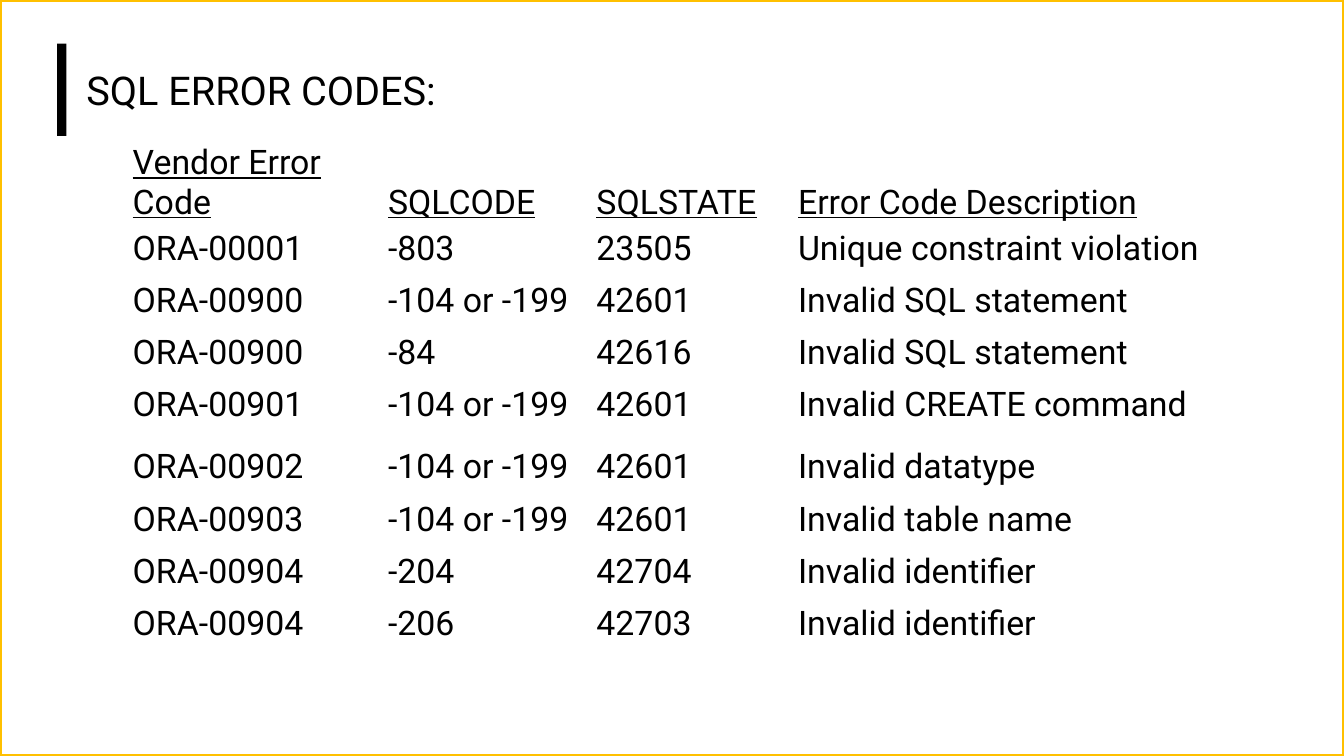
from pptx import Presentation
from pptx.dml.color import RGBColor as RGB
from pptx.enum.shapes import MSO_SHAPE as Shape
from pptx.enum.text import MSO_ANCHOR as Anchor
from pptx.oxml.ns import qn
from pptx.util import Pt
from lxml.etree import SubElement as sub

COLORS = {"white": "FFFFFF", "black": "000000", "gold": "FFC000"}
WIDE, HIGH = 1152, 648

HEADS = ["Vendor Error Code", "SQLCODE", "SQLSTATE", "Error Code Description"]
CODES = [
    ["ORA-00001", "-803", "23505", "Unique constraint violation"],
    ["ORA-00900", "-104 or -199", "42601", "Invalid SQL statement"],
    ["ORA-00900", "-84", "42616", "Invalid SQL statement"],
    ["ORA-00901", "-104 or -199", "42601", "Invalid CREATE command"],
    ["ORA-00902", "-104 or -199", "42601", "Invalid datatype"],
    ["ORA-00903", "-104 or -199", "42601", "Invalid table name"],
    ["ORA-00904", "-204", "42704", "Invalid identifier"],
    ["ORA-00904", "-206", "42703", "Invalid identifier"],
]
COLS = [218.9, 178.6, 172.8, 423.4]
ROW, TALL = 44.64, 53.3
TALL_ROW = 4


def color(name):
    return RGB.from_string(COLORS[name])


def write(frame, text, size, font="Roboto", ink="black", line=False,
          anchor=Anchor.TOP, pad=(2.9, 2.9)):
    """Put one styled paragraph in a text frame; pad is (side, top)."""
    frame.word_wrap = True
    frame.vertical_anchor = anchor
    frame.margin_left = frame.margin_right = Pt(pad[0])
    frame.margin_top = frame.margin_bottom = Pt(pad[1])
    run = frame.paragraphs[0].add_run()
    run.text = text
    run.font.name = font
    run.font.size = Pt(size)
    run.font.underline = line
    run.font.color.rgb = color(ink)


class Deck:
    def __init__(self):
        self.prs = Presentation()
        self.prs.slide_width, self.prs.slide_height = Pt(WIDE), Pt(HIGH)
        self.slide = self.prs.slides.add_slide(self.prs.slide_layouts[6])
        fill = self.slide.background.fill
        fill.solid()
        fill.fore_color.rgb = color("white")

    def rect(self, box, fill, edge=None, width=0, alpha=None):
        shape = self.slide.shapes.add_shape(Shape.RECTANGLE, *map(Pt, box))
        shape.shadow.inherit = False
        shape.fill.solid()
        shape.fill.fore_color.rgb = color(fill)
        if alpha:
            tint = shape.fill._xPr.find(qn("a:solidFill"))[0]
            sub(tint, qn("a:alpha")).set("val", str(alpha * 1000))
        if edge:
            shape.line.color.rgb = color(edge)
            shape.line.width = Pt(width)
        else:
            shape.line.fill.background()

    def text(self, box, text, size, **style):
        shape = self.slide.shapes.add_textbox(*map(Pt, box))
        write(shape.text_frame, text, size, **style)

    def table(self, box, rows, size):
        frame = self.slide.shapes.add_table(len(rows), len(COLS), *map(Pt, box))
        grid = frame.table
        grid.first_row = grid.horz_banding = False
        for col, width in zip(grid.columns, COLS):
            col.width = Pt(width)
        for i, row in enumerate(rows):
            grid.rows[i].height = Pt(TALL if i == TALL_ROW else ROW)
            for j, text in enumerate(row):
                cell = grid.cell(i, j)
                cell.fill.background()
                head = i == 0
                write(cell.text_frame, text, size, line=head)
                cell.margin_left = cell.margin_right = Pt(2.9)
                cell.margin_top = cell.margin_bottom = Pt(2.9)
                cell.vertical_anchor = Anchor.BOTTOM if head else Anchor.TOP
        frame.height = Pt(box[3])


def main():
    deck = Deck()
    deck.rect((0, 0, WIDE, HIGH), "white", edge="gold", width=3, alpha=49)
    deck.rect((49, 37.4, 7.9, 79.2), "black")
    deck.text((65.5, 37.4, 586.8, 79.2), "SQL ERROR CODES:", 34,
              anchor=Anchor.MIDDLE, pad=(8.6, 4.3))
    deck.table((110.9, 118.1, sum(COLS), 442), [HEADS] + CODES, 29)
    deck.prs.save("out.pptx")


if __name__ == "__main__":
    main()
